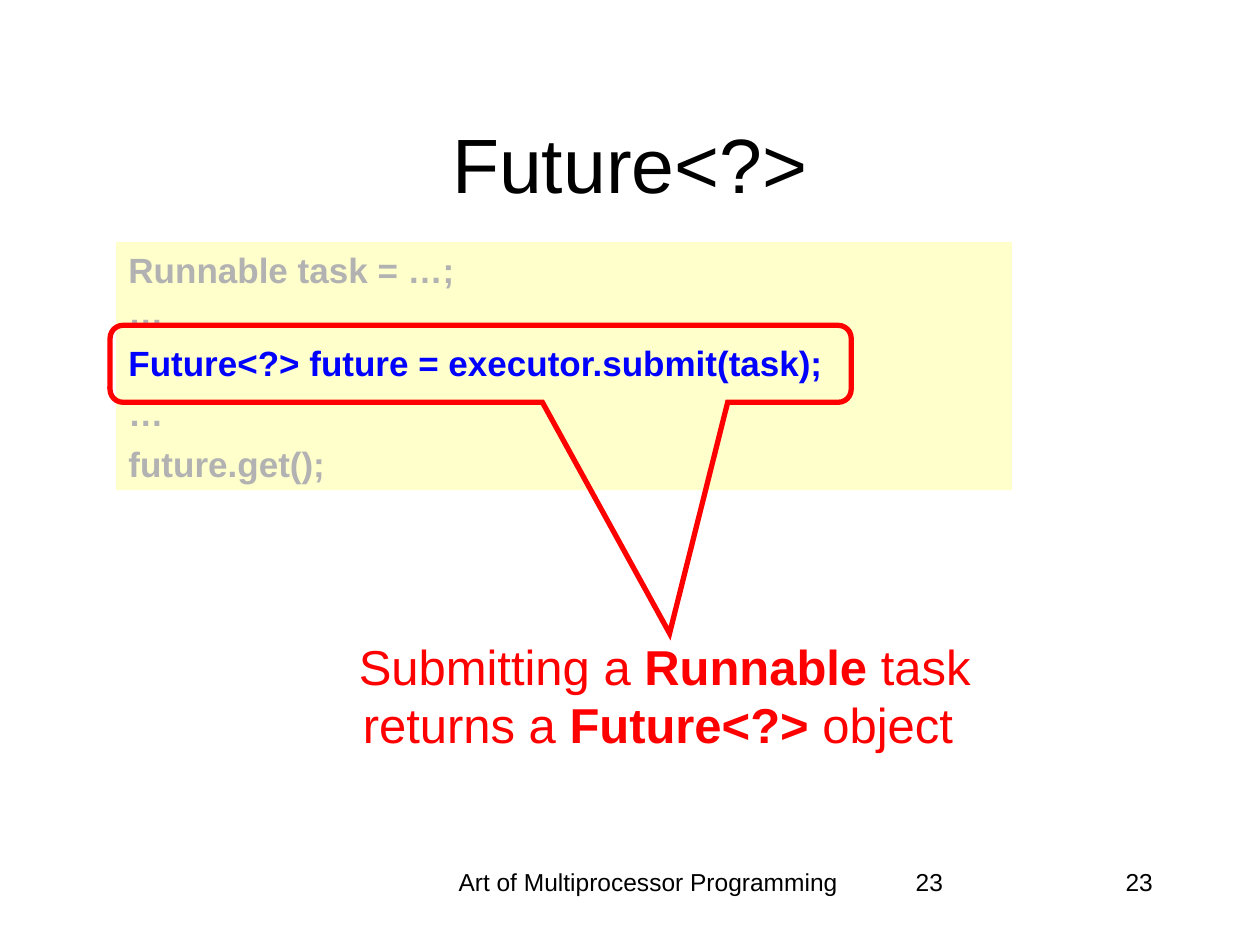
from dataclasses import dataclass

from lxml.etree import SubElement
from pptx import Presentation
from pptx.dml.color import RGBColor
from pptx.enum.shapes import MSO_SHAPE as Shape
from pptx.enum.text import MSO_ANCHOR as Anchor, PP_ALIGN as Align
from pptx.oxml.ns import qn
from pptx.util import Cm, Pt

COLORS = {
    "black": "000000",
    "code_panel": "FFFFCC",
    "dimmed": "B2B2B2",
    "keyword": "0000FF",
    "accent": "FF0000",
}


@dataclass
class Box:
    """Left, top, width and height in centimetres."""
    left: float
    top: float
    width: float
    height: float

    def lengths(self) -> tuple:
        return Cm(self.left), Cm(self.top), Cm(self.width), Cm(self.height)


@dataclass
class Run:
    text: str
    color: str = "black"
    bold: bool = False


@dataclass
class Line:
    runs: list[Run]
    space_before: float = 0


def color(name: str) -> RGBColor:
    return RGBColor.from_string(COLORS[name])


def write(shape, lines: list[Line], *, size: float, align=Align.LEFT, anchor=Anchor.TOP) -> None:
    frame = shape.text_frame
    frame.word_wrap = True
    frame.vertical_anchor = anchor
    for index, line in enumerate(lines):
        paragraph = frame.paragraphs[0] if index == 0 else frame.add_paragraph()
        paragraph.alignment = align
        if line.space_before:
            paragraph.space_before = Pt(line.space_before)
        for part in line.runs:
            run = paragraph.add_run()
            run.text = part.text
            run.font.name = "Arial"
            run.font.size = Pt(size)
            run.font.bold = part.bold
            run.font.color.rgb = color(part.color)


def add_text(slide, box: Box, runs: list[Run], **text_format) -> None:
    write(slide.shapes.add_textbox(*box.lengths()), [Line(runs)], **text_format)


def add_code_panel(slide, box: Box, lines: list[Line]) -> None:
    panel = slide.shapes.add_shape(Shape.RECTANGLE, *box.lengths())
    panel.shadow.inherit = False
    panel.fill.solid()
    panel.fill.fore_color.rgb = color("code_panel")
    panel.line.fill.background()
    write(panel, lines, size=20)


def add_callout(slide, box: Box, adjustments: tuple[float, ...]) -> None:
    """Outline a code line, with a sharp pointer towards its explanation."""
    callout = slide.shapes.add_shape(Shape.ROUNDED_RECTANGULAR_CALLOUT, *box.lengths())
    callout.shadow.inherit = False
    for index, value in enumerate(adjustments):
        callout.adjustments[index] = value
    callout.fill.background()
    callout.line.color.rgb = color("accent")
    callout.line.width = Pt(3)
    SubElement(callout.line._get_or_add_ln(), qn("a:miter"), lim="800000")


def main() -> None:
    deck = Presentation()
    deck.slide_width, deck.slide_height = Cm(25.4), Cm(19.05)
    slide = deck.slides.add_slide(deck.slide_layouts[6])

    footer = Box(8.69, 17.35, 8.76, 1.27)
    page_number = Box(18.21, 17.35, 5.28, 1.27)
    add_text(slide, footer, [Run("Art of Multiprocessor Programming")], size=14, align=Align.CENTER)
    for align in (Align.LEFT, Align.RIGHT):
        add_text(slide, page_number, [Run("23")], size=14, align=align)

    add_text(slide, Box(1.9, 1.7, 21.6, 3.18), [Run("Future<?>")],
             size=44, align=Align.CENTER, anchor=Anchor.MIDDLE)

    code = [
        ("Runnable task = …;", "dimmed", 0),
        ("…", "dimmed", 0),
        ("Future<?> future = executor.submit(task);", "keyword", 5),
        ("…", "dimmed", 5),
        ("future.get();", "dimmed", 5),
    ]
    add_code_panel(slide, Box(2.34, 4.88, 18.06, 5),
                   [Line([Run(text, tone, bold=True)], gap) for text, tone, gap in code])
    add_callout(slide, Box(2.22, 6.56, 14.94, 1.55), (0.255, 3.506, 0.167))

    explanation = [
        Run("Submitting a ", "accent"),
        Run("Runnable", "accent", bold=True),
        Run(" task returns a ", "accent"),
        Run("Future<?>", "accent", bold=True),
        Run(" object ", "accent"),
    ]
    add_text(slide, Box(5.46, 12.7, 15.88, 2.62), explanation, size=28, align=Align.CENTER)

    deck.save("out.pptx")


if __name__ == "__main__":
    main()
